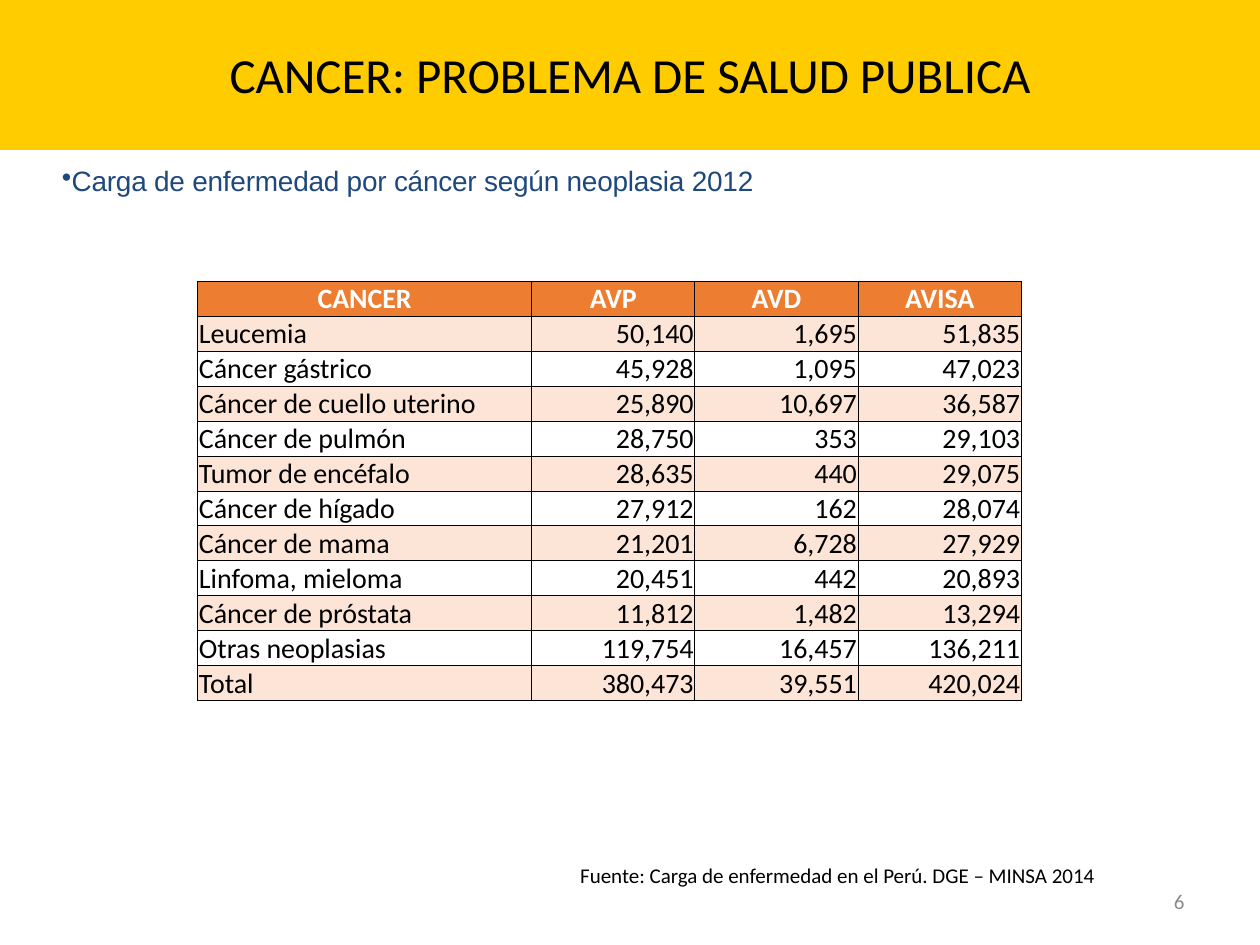
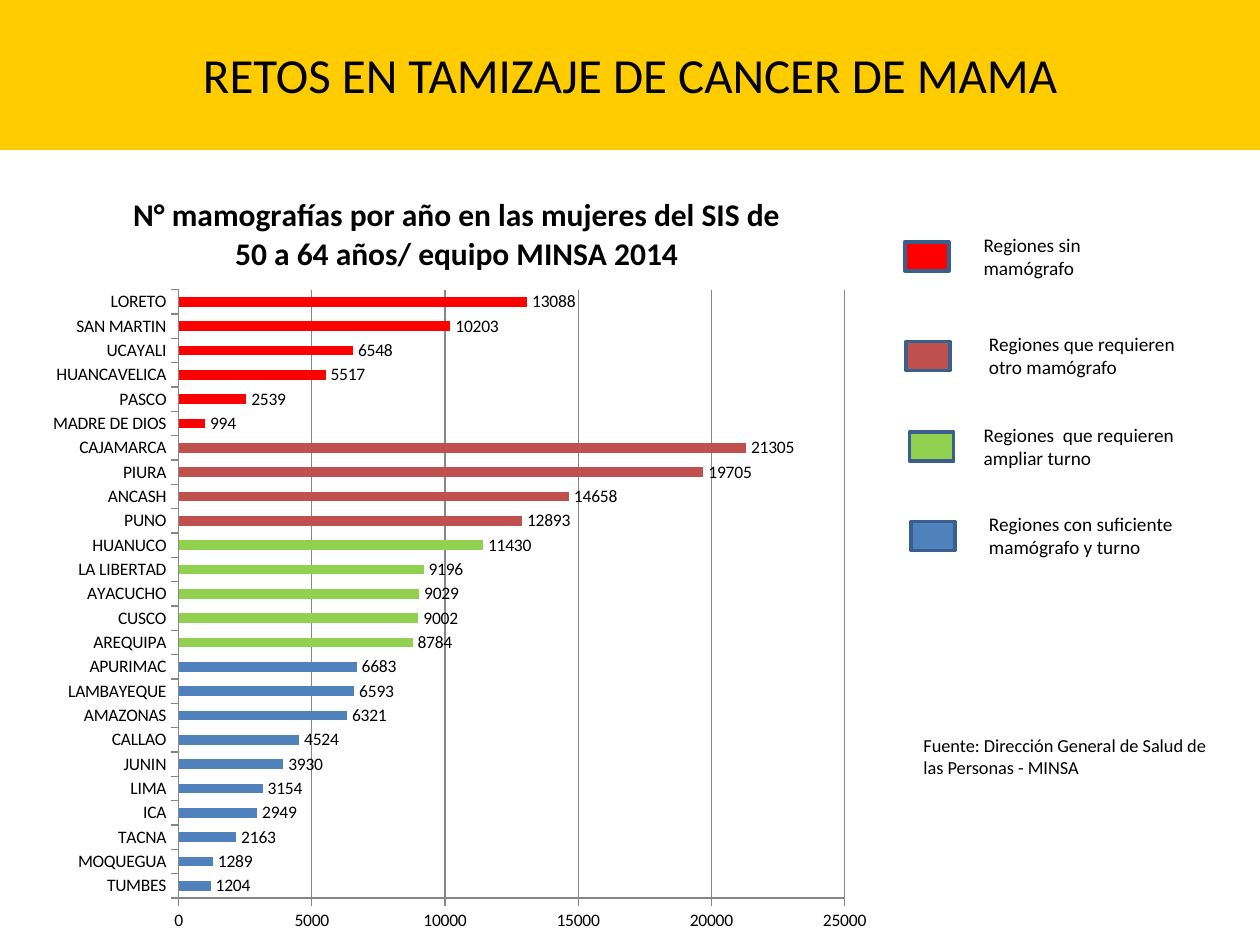
import dataclasses
import itertools
import typing

import lxml.etree
import pptx
import pptx.chart.data
import pptx.dml.color
import pptx.enum.chart
import pptx.enum.shapes
import pptx.enum.text
import pptx.oxml.ns
import pptx.util

Pt = pptx.util.Pt
qn = pptx.oxml.ns.qn
ALIGN = pptx.enum.text.PP_ALIGN
ANCHOR = pptx.enum.text.MSO_ANCHOR

BLACK, WHITE, GREY = "000000", "FFFFFF", "8C8C8C"
BAND, NAVY, RIM, GRID = "FFCC00", "1F497D", "3A5F8C", "878787"
HEAD, TINT = "ED7D31", "FCE4D6"


class Box(typing.NamedTuple):
    left: float
    top: float
    width: float
    height: float

    def pts(self) -> list:
        return [Pt(side) for side in self]


@dataclasses.dataclass
class Look:
    size: float = 12
    color: str = BLACK
    bold: bool = False
    font: str = "Calibri"
    align: typing.Any = ALIGN.LEFT
    anchor: typing.Any = ANCHOR.TOP


@dataclasses.dataclass
class Group:
    """Regions that share a need, a bar colour and a key entry."""
    label: str
    color: str
    swatch: Box
    note: Box
    counts: dict


GROUPS = [
    Group("Regiones sin mamógrafo", "FF0000",
          Box(517, 138.2, 25.2, 16.6), Box(555, 129.6, 103.7, 34),
          {"LORETO": 13088, "SAN MARTIN": 10203, "UCAYALI": 6548,
           "HUANCAVELICA": 5517, "PASCO": 2539, "MADRE DE DIOS": 994}),
    Group("Regiones que requieren otro mamógrafo", "C0504D",
          Box(517.7, 195.1, 25.2, 16.6), Box(558, 186.5, 134, 34),
          {"CAJAMARCA": 21305, "PIURA": 19705, "ANCASH": 14658, "PUNO": 12893}),
    Group("Regiones  que requieren ampliar turno", "92D050",
          Box(519.8, 247, 25.2, 16.6), Box(555, 238.3, 137.5, 34),
          {"HUANUCO": 11430, "LA LIBERTAD": 9196, "AYACUCHO": 9029,
           "CUSCO": 9002, "AREQUIPA": 8784}),
    Group("Regiones con suficiente mamógrafo y turno", "4F81BD",
          Box(520.6, 298, 25.2, 16.6), Box(558, 289.4, 134, 34),
          {"APURIMAC": 6683, "LAMBAYEQUE": 6593, "AMAZONAS": 6321,
           "CALLAO": 4524, "JUNIN": 3930, "LIMA": 3154, "ICA": 2949,
           "TACNA": 2163, "MOQUEGUA": 1289, "TUMBES": 1204}),
]

BURDEN = [
    ("CANCER", "AVP", "AVD", "AVISA"),
    ("Leucemia", "50,140", "1,695", "51,835"),
    ("Cáncer gástrico", "45,928", "1,095", "47,023"),
    ("Cáncer de cuello uterino", "25,890", "10,697", "36,587"),
    ("Cáncer de pulmón", "28,750", "353", "29,103"),
    ("Tumor de encéfalo", "28,635", "440", "29,075"),
    ("Cáncer de hígado", "27,912", "162", "28,074"),
    ("Cáncer de mama", "21,201", "6,728", "27,929"),
    ("Linfoma, mieloma", "20,451", "442", "20,893"),
    ("Cáncer de próstata", "11,812", "1,482", "13,294"),
    ("Otras neoplasias", "119,754", "16,457", "136,211"),
    ("Total", "380,473", "39,551", "420,024"),
]


def rgb(code: str) -> pptx.dml.color.RGBColor:
    return pptx.dml.color.RGBColor.from_string(code)


def put(item, **values) -> None:
    """Set each named attribute on the item."""
    for name, value in values.items():
        setattr(item, name, value)


def style(font, look: Look) -> None:
    put(font, size=Pt(look.size), name=look.font, bold=look.bold)
    font.color.rgb = rgb(look.color)


def paint(shape, fill: str, edge: str) -> None:
    shape.fill.solid()
    shape.fill.fore_color.rgb = rgb(fill)
    shape.line.color.rgb = rgb(edge)
    shape.line.width = Pt(2)


def write(frame, words: str, look: Look):
    """Fill a text frame with one styled line and return its paragraph."""
    put(frame, word_wrap=True, vertical_anchor=look.anchor)
    line = frame.paragraphs[0]
    line.alignment = look.align
    run = line.add_run()
    run.text = words
    style(run.font, look)
    return line


def label(slide, box: Box, words: str, look: Look):
    return write(slide.shapes.add_textbox(*box.pts()).text_frame, words, look)


def start(deck, words: str):
    """Add a slide with its title in the yellow band."""
    slide = deck.slides.add_slide(deck.slide_layouts[5])
    title = slide.shapes.title
    sides = ("left", "top", "width", "height")
    put(title, **dict(zip(sides, Box(0, 0, 720, 85).pts())))
    paint(title, BAND, BAND)
    title.text_frame.auto_size = pptx.enum.text.MSO_AUTO_SIZE.NONE
    write(title.text_frame, words,
          Look(28, align=ALIGN.CENTER, anchor=ANCHOR.MIDDLE))
    return slide


def bullet(slide, box: Box, words: str) -> None:
    area = slide.shapes.add_textbox(*box.pts()).text_frame
    put(area, margin_left=0, margin_right=0, margin_top=0, margin_bottom=0)
    line = write(area, words, Look(16, NAVY, font="Arial"))
    line.space_before = Pt(3.2)
    line.runs[0].font._element.set("spc", "-10")
    props = line._p.get_or_add_pPr()
    props.set("marL", str(Pt(0.72)))
    props.set("indent", str(Pt(-27.36)))
    lxml.etree.SubElement(props, qn("a:buChar"), char="•")


def frame(cell) -> None:
    """Draw thin black borders round a cell."""
    props = cell._tc.get_or_add_tcPr()
    for side in ("a:lnL", "a:lnR", "a:lnT", "a:lnB"):
        edge = lxml.etree.SubElement(props, qn(side), w=str(Pt(0.5)))
        fill = lxml.etree.SubElement(edge, qn("a:solidFill"))
        lxml.etree.SubElement(fill, qn("a:srgbClr"), val=BLACK)


def grid(slide, box: Box, rows: list, widths: list) -> None:
    table = slide.shapes.add_table(len(rows), len(widths), *box.pts()).table
    put(table, first_row=False, horz_banding=False)
    for column, width in zip(table.columns, widths):
        column.width = Pt(width)
    for row in table.rows:
        row.height = Pt(box.height / len(rows))
    for r, c in itertools.product(range(len(rows)), range(len(widths))):
        cell = table.cell(r, c)
        put(cell, margin_left=Pt(0.72), margin_right=Pt(0.72),
            margin_top=Pt(0.72), margin_bottom=0)
        if r == 0:
            look = Look(16, WHITE, True, align=ALIGN.CENTER, anchor=ANCHOR.MIDDLE)
        else:
            look = Look(16, align=ALIGN.RIGHT if c else ALIGN.LEFT,
                        anchor=ANCHOR.BOTTOM)
        write(cell.text_frame, rows[r][c], look)
        cell.vertical_anchor = look.anchor
        frame(cell)
        if r == 0 or r % 2:
            cell.fill.solid()
            cell.fill.fore_color.rgb = rgb(TINT if r else HEAD)
        else:
            cell.fill.background()


def place(chart, **parts) -> None:
    """Fix the inner plot area, as shares of the chart."""
    area = chart._chartSpace.chart.plotArea
    for old in area.findall(qn("c:layout")):
        area.remove(old)
    layout = lxml.etree.Element(qn("c:layout"))
    area.insert(0, layout)
    hand = lxml.etree.SubElement(layout, qn("c:manualLayout"))
    values = dict(layoutTarget="inner", xMode="edge", yMode="edge", **parts)
    for name, value in values.items():
        lxml.etree.SubElement(hand, qn("c:" + name), val=str(value))


def bars(slide, box: Box, title: str) -> None:
    marks = [(name, count, group.color) for group in GROUPS
             for name, count in group.counts.items()][::-1]
    data = pptx.chart.data.CategoryChartData(number_format="0")
    data.categories = [name for name, _, _ in marks]
    data.add_series("Series 1", [count for _, count, _ in marks])
    kind = pptx.enum.chart.XL_CHART_TYPE.BAR_CLUSTERED
    chart = slide.shapes.add_chart(kind, *box.pts(), data).chart
    put(chart, has_legend=False, has_title=True)
    style(chart.font, Look(10))
    write(chart.chart_title.text_frame, title,
          Look(18, bold=True, align=ALIGN.CENTER))
    chart.chart_title.include_in_layout = False
    place(chart, x=0.17, y=0.16, w=0.79, h=0.78)

    plot = chart.plots[0]
    put(plot, gap_width=150, vary_by_categories=False, has_data_labels=True)
    put(plot.data_labels, show_value=True, number_format="0",
        number_format_is_linked=False,
        position=pptx.enum.chart.XL_LABEL_POSITION.OUTSIDE_END)
    series = plot.series[0]
    series.format.fill.solid()
    series.format.fill.fore_color.rgb = rgb(GROUPS[-1].color)
    for i, (_, _, color) in enumerate(marks):
        fill = series.points[i].format.fill
        fill.solid()
        fill.fore_color.rgb = rgb(color)

    scale = chart.value_axis
    put(scale, minimum_scale=0, maximum_scale=25000, major_unit=5000,
        has_major_gridlines=True)
    put(scale.tick_labels, number_format="0", number_format_is_linked=False)
    for axis in (scale, chart.category_axis):
        axis.major_tick_mark = pptx.enum.chart.XL_TICK_MARK.OUTSIDE
    for item in (scale, chart.category_axis, scale.major_gridlines):
        item.format.line.color.rgb = rgb(GRID)
        item.format.line.width = Pt(0.75)


def key(slide, group: Group) -> None:
    kind = pptx.enum.shapes.MSO_SHAPE.RECTANGLE
    swatch = slide.shapes.add_shape(kind, *group.swatch.pts())
    swatch.shadow.inherit = False
    paint(swatch, group.color, RIM)
    label(slide, group.note, group.label, Look(11))


def burden(deck) -> None:
    slide = start(deck, "CANCER: PROBLEMA DE SALUD PUBLICA")
    label(slide, Box(516.2, 500.4, 167.8, 28.8), "6",
          Look(12, GREY, align=ALIGN.RIGHT, anchor=ANCHOR.MIDDLE))
    bullet(slide, Box(35.3, 93.6, 661.7, 17.3),
           "Carga de enfermedad por cáncer según neoplasia 2012")
    label(slide, Box(31, 489.6, 602, 21.6),
          "Fuente: Carga de enfermedad en el Perú. DGE – MINSA 2014",
          Look(12, align=ALIGN.RIGHT))
    grid(slide, Box(113, 160.6, 470.7, 240), BURDEN, [190.8, 93.3, 93.3, 93.3])


def screening(deck) -> None:
    slide = start(deck, "RETOS EN TAMIZAJE DE CANCER DE MAMA")
    bars(slide, Box(20.2, 94.3, 481.7, 445.7),
         "N° mamografías por año en las mujeres del SIS de 50 a 64 años/ "
         "equipo MINSA 2014")
    for group in GROUPS:
        key(slide, group)
    label(slide, Box(520.6, 416.2, 179.3, 34),
          "Fuente: Dirección General de Salud de las Personas - MINSA",
          Look(10.5))


def main() -> None:
    deck = pptx.Presentation()
    put(deck, slide_width=Pt(720), slide_height=Pt(540))
    burden(deck)
    screening(deck)
    deck.save("out.pptx")


if __name__ == "__main__":
    main()
